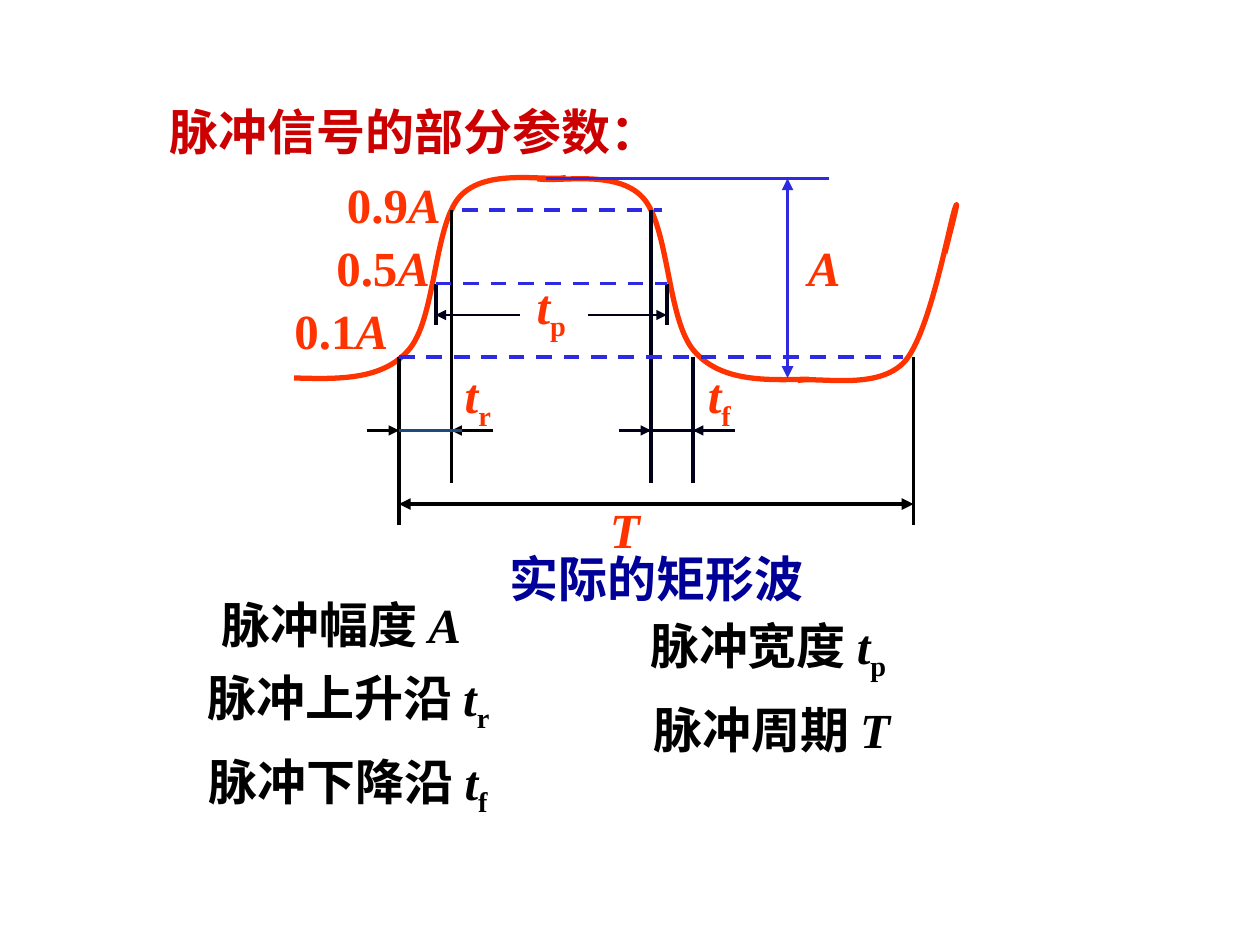
from lxml.etree import SubElement
from pptx import Presentation
from pptx.dml.color import RGBColor
from pptx.enum.dml import MSO_LINE
from pptx.enum.shapes import MSO_CONNECTOR
from pptx.enum.text import MSO_ANCHOR, MSO_AUTO_SIZE, PP_ALIGN
from pptx.oxml.ns import qn
from pptx.util import Pt

COLORS = {
    "title": "CC0000", "caption": "000099", "text": "000000",
    "signal": "FF3300", "level": "2E2AE2", "black": "000000",
    "ink": "000018", "rise": "1F497D",
}
FONT = "Times New Roman"
LABEL_HEIGHT = 41
THICK, THIN = 2.25, 1.5

# Key times (x) and levels (y) of the pulse
X10, X50, X90 = 228, 249, 258
X90_FALL, X50_FALL, X10_FALL = 372, 381, 396
X_NEXT = 522
TOP, Y90, Y50, Y10, BOTTOM = 102, 120, 162, 204, 216
Y_EDGE, Y_WIDTH, Y_PERIOD = 246, 180, 288
X_AMPLITUDE = 450

# Control points of cubic curves that share their end points
RISE = [(168, 216), (193, 216.7), (218.2, 217.4), (233.3, 200.2),
        (249.1, 182.9), (247.7, 128.9), (262.8, 112.3),
        (277.9, 95.8), (311, 103.7), (323.3, 101.5)]
FALL = [(630.2 - x, y + 0.7) for x, y in RISE]
NEXT_RISE = [(540, 144.7), (540.7, 141.1), (549.4, 108.7), (545.8, 118.8),
             (542.2, 129.6), (531.4, 190.1), (517, 206.6),
             (501.8, 223.2), (468.7, 215.3), (455.8, 217.4)]


def rgb(name):
    return RGBColor.from_string(COLORS[name])


def add_text(shapes, box, text="", symbol="", sub="", *, color="text",
             align=PP_ALIGN.CENTER, anchor=MSO_ANCHOR.TOP):
    """Add upright text, then an italic symbol, then its subscript."""
    tb = shapes.add_textbox(*(Pt(v) for v in box))
    tf = tb.text_frame
    tf.word_wrap = True
    tf.vertical_anchor = anchor
    if anchor == MSO_ANCHOR.TOP:
        tf.auto_size = MSO_AUTO_SIZE.SHAPE_TO_FIT_TEXT
    p = tf.paragraphs[0]
    p.alignment = align
    for part, italic, baseline in ((text, False, 0), (symbol, True, 0),
                                   (sub, False, -25000)):
        if not part:
            continue
        r = p.add_run()
        r.text = part
        r.font.name = FONT
        r.font.size = Pt(28)
        r.font.bold = True
        r.font.italic = italic
        r.font.color.rgb = rgb(color)
        if baseline:
            r._r.get_or_add_rPr().set("baseline", str(baseline))


def add_line(shapes, start, end, color, width=THICK, *, dash=False, arrows=()):
    """Add a line; arrows names its pointed ends, headEnd and/or tailEnd."""
    line = shapes.add_connector(
        MSO_CONNECTOR.STRAIGHT, *(Pt(v) for v in (*start, *end)))
    line.line.color.rgb = rgb(color)
    line.line.width = Pt(width)
    if dash:
        line.line.dash_style = MSO_LINE.DASH
    ln = line.line._get_or_add_ln()
    for name in arrows:
        SubElement(ln, qn(f"a:{name}"), type="triangle")
    SubElement(line._element.spPr, qn("a:effectLst"))


def add_curve(shapes, controls):
    """Add a freeform whose segments are turned into cubic curves."""
    points = [(Pt(x), Pt(y)) for x, y in controls]
    builder = shapes.build_freeform(*points[0])
    builder.add_line_segments(points[1:], close=False)
    sp = builder.convert_to_shape()
    outline = next(sp._element.iter(qn("a:path")))
    segments = outline.findall(qn("a:lnTo"))
    for i in range(0, len(segments), 3):
        cubic = SubElement(outline, qn("a:cubicBezTo"))
        for segment in segments[i:i + 3]:
            cubic.append(segment[0])
            outline.remove(segment)
    sp.shadow.inherit = False
    sp.fill.background()
    sp.line.color.rgb = rgb("signal")
    sp.line.width = Pt(3)


def add_edge_time(shapes, left, right, color, inner, inner_color):
    """Mark the time between two verticals with arrows from outside."""
    for start, end in ((left - 18, left), (right + 24, right)):
        add_line(shapes, (start, Y_EDGE), (end, Y_EDGE), color, THIN,
                 arrows=["tailEnd"])
    add_line(shapes, (inner[0], Y_EDGE), (inner[1], Y_EDGE), inner_color, THIN)


def add_definitions(shapes):
    for x, y, text, symbol, sub in (
            (84, 336, "脉冲幅度 ", "A", ""),
            (90, 378, "脉冲上升沿 ", "t", "r "),
            (330, 396, "脉冲周期 ", "T", ""),
            (90, 426, "脉冲下降沿 ", "t", "f "),
            (330, 348, "脉冲宽度 ", "t", "p ")):
        add_text(shapes, (x, y, 222, LABEL_HEIGHT), text, symbol, sub)


def add_dimensions(shapes):
    both = ["headEnd", "tailEnd"]
    add_line(shapes, (312, TOP), (474, TOP), "level")
    add_line(shapes, (X_AMPLITUDE, TOP), (X_AMPLITUDE, BOTTOM), "level",
             arrows=both)
    for x, top, bottom, color in (
            (X10, Y10, 300, "black"), (X90, Y90, 276, "black"),
            (X90_FALL, Y90, 276, "ink"), (X10_FALL, Y10, 276, "ink"),
            (X_NEXT, Y10, 300, "black"),
            (X50, Y50, 186, "ink"), (X50_FALL, Y50, 186, "ink")):
        add_line(shapes, (x, top), (x, bottom), color)
    add_edge_time(shapes, X10, X90, "black", (X10, 264), "rise")
    add_edge_time(shapes, X90_FALL, X10_FALL, "ink", (366, 402), "ink")
    for left, right, y in ((264, 378, Y90), (X50, X50_FALL, Y50),
                           (X10, 516, Y10)):
        add_line(shapes, (left, y), (right, y), "level", dash=True)
    add_line(shapes, (X10, Y_PERIOD), (X_NEXT, Y_PERIOD), "black", arrows=both)
    for start, end in ((297, X50), (336, X50_FALL)):
        add_line(shapes, (start, Y_WIDTH), (end, Y_WIDTH), "ink", THIN,
                 arrows=["tailEnd"])


def add_labels(shapes):
    for x, y, width, text, symbol, sub in (
            (444, 132, 54, "", "A", ""),
            (180, 96, 90, "0.9", "A", ""),
            (174, 132, 90, "0.5", "A", ""),
            (150, 168, 90, "0.1", "A", ""),
            (270, 154, 90, "", "t", "p"),
            (228, 205, 90, "", "t", "r"),
            (366, 205, 90, "", "t", "f"),
            (312, 282, 90, "", "T", "")):
        add_text(shapes, (x, y, width, LABEL_HEIGHT), text, symbol, sub,
                 color="signal")


def main():
    prs = Presentation()
    prs.slide_width, prs.slide_height = Pt(720), Pt(540)
    slide = prs.slides.add_slide(prs.slide_layouts[6])
    add_definitions(slide.shapes)
    add_text(slide.shapes, (90, 54, 282, 42), "脉冲信号的部分参数：",
             color="title", align=PP_ALIGN.LEFT, anchor=MSO_ANCHOR.MIDDLE)
    diagram = slide.shapes.add_group_shape().shapes
    for controls in (RISE, FALL, NEXT_RISE):
        add_curve(diagram, controls)
    add_dimensions(diagram)
    add_labels(diagram)
    add_text(slide.shapes, (198, 306, 354, 48), "实际的矩形波",
             color="caption", anchor=MSO_ANCHOR.MIDDLE)
    prs.save("out.pptx")


if __name__ == "__main__":
    main()
